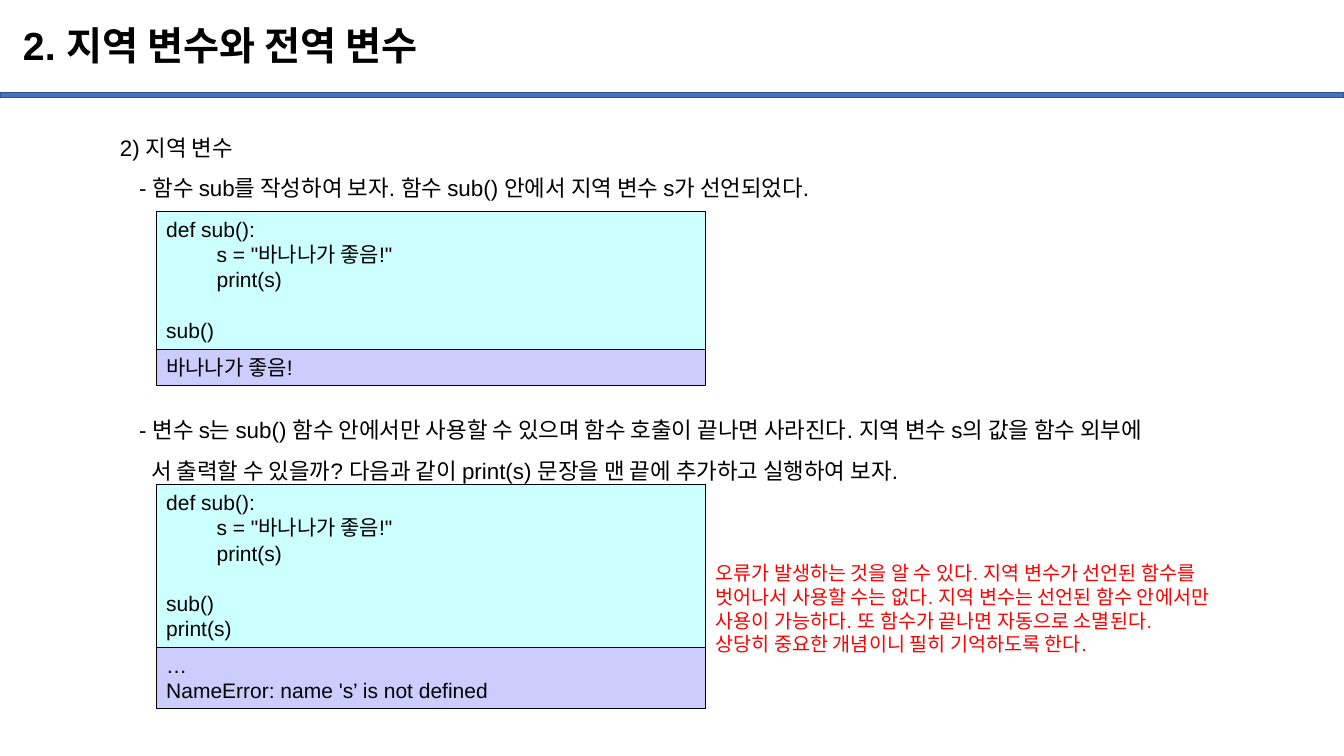
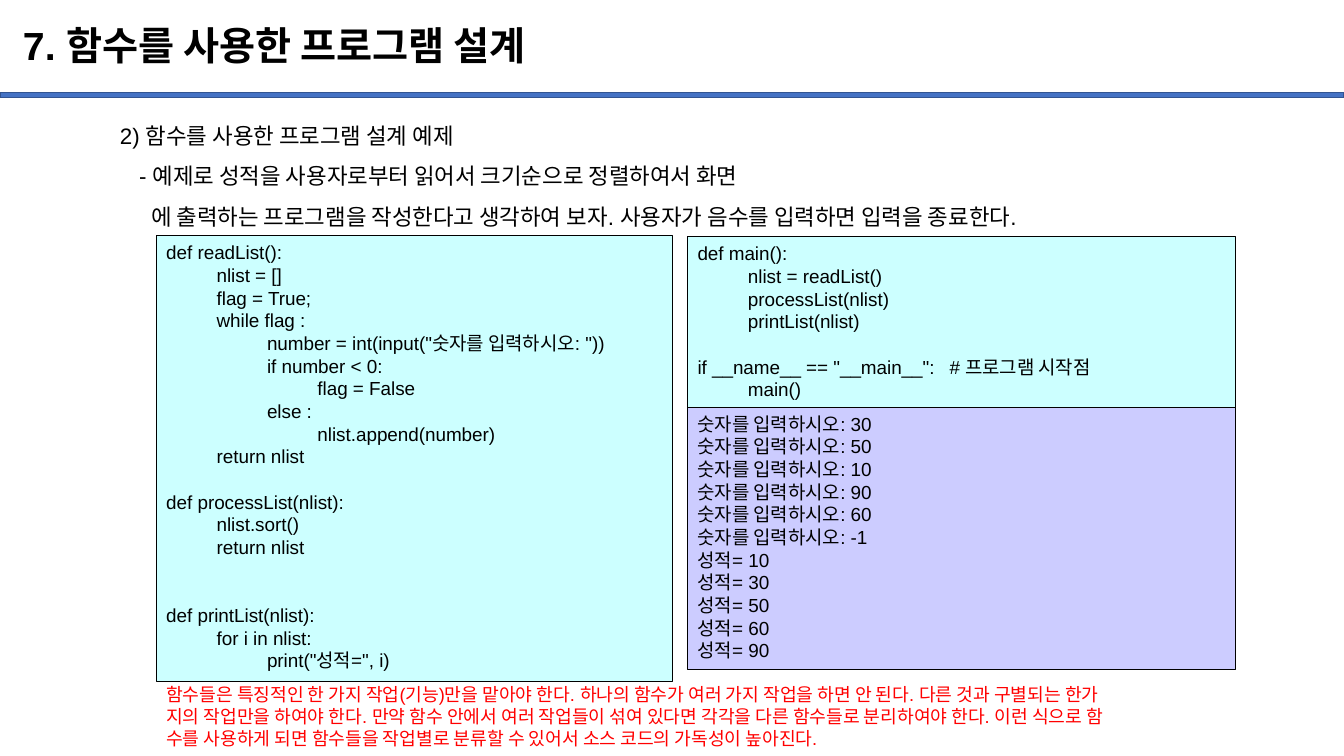
from dataclasses import dataclass

from lxml.etree import SubElement
from pptx import Presentation
from pptx.dml.color import RGBColor
from pptx.enum.shapes import MSO_SHAPE
from pptx.enum.text import MSO_ANCHOR
from pptx.oxml.ns import qn
from pptx.util import Pt

SCALE = 9144  # EMU in one px, 100 px to the inch


@dataclass(frozen=True)
class Theme:
    font: str = "Arial"
    text: str = "000000"
    note: str = "FF0000"
    bar: str = "4472C4"
    bar_edge: str = "325491"
    code: str = "CCFFFF"
    output: str = "CCCCFF"
    title_size: float = 28
    outline_size: float = 16
    line_height: float = 1.2
    code_indent: int = 50
    outline_indents: tuple = (0, 19, 31)  # heading, dash, continued line


THEME = Theme()
PAGE_WIDTH, PAGE_HEIGHT = 1333, 750


def px(length):
    return int(length * SCALE)


def color(value):
    return RGBColor.from_string(value)


# Text
def add_line(frame, text, size, ink=THEME.text, bold=False, indent=0,
             spacing=None, gap=0, tab=None):
    """Add one paragraph, reusing the first one while it is empty."""
    first = frame.paragraphs[0]
    para = first if not first.runs else frame.add_paragraph()
    if spacing:
        para.line_spacing = spacing
    if gap:
        para.space_before = Pt(gap)
    properties = para._p.get_or_add_pPr()
    properties.set("algn", "l")
    properties.set("marL", str(px(indent)))
    properties.set("indent", "0")
    if tab:
        stops = SubElement(properties, qn("a:tabLst"))
        SubElement(stops, qn("a:tab"), pos=str(px(tab)), algn="l")
    span = para.add_run()
    span.text = text
    span.font.name = THEME.font
    span.font.size = Pt(size)
    span.font.bold = bold
    span.font.color.rgb = color(ink)


def add_text_box(page, box):
    frame = page.shapes.add_textbox(*map(px, box)).text_frame
    frame.word_wrap = True
    return frame


def add_panel(page, box, fill, edge, edge_width):
    panel = page.shapes.add_shape(MSO_SHAPE.RECTANGLE, *map(px, box))
    panel.shadow.inherit = False
    panel.fill.solid()
    panel.fill.fore_color.rgb = color(fill)
    panel.line.color.rgb = color(edge)
    panel.line.width = Pt(edge_width)
    return panel


# Regions
def add_page(deck, title):
    """Blank page with the shared bar and title."""
    page = deck.slides.add_slide(deck.slide_layouts[6])
    add_panel(page, (0, 92, PAGE_WIDTH, 5), THEME.bar, THEME.bar_edge, 1)
    frame = add_text_box(page, (13, 10, 1150, 74))
    frame.vertical_anchor = MSO_ANCHOR.MIDDLE
    add_line(frame, title, THEME.title_size, bold=True, spacing=0.9)
    return page


def add_outline(page, box, lines):
    """Lines of (level, text), indented by level."""
    frame = add_text_box(page, box)
    for level, text in lines:
        add_line(frame, text, THEME.outline_size, spacing=1.5,
                 indent=THEME.outline_indents[level])


def add_listing(page, box, source, size, fill, comment_tab=None):
    """Code panel: four spaces make a level, an empty line makes a gap."""
    frame = add_panel(page, box, fill, THEME.text, 0.75).text_frame
    frame.word_wrap = True
    frame.vertical_anchor = MSO_ANCHOR.TOP
    gap = 0
    for line in source.strip().splitlines():
        code = line.lstrip(" ")
        if not code:
            gap += size * THEME.line_height
            continue
        level = (len(line) - len(code)) // 4
        add_line(frame, code, size, indent=level * THEME.code_indent, gap=gap,
                 tab=comment_tab if "\t" in code else None)
        gap = 0


def add_example(page, box, code, output, code_height, size, comment_tab=None):
    """Code panel with its output panel directly below."""
    left, top, width, height = box
    add_listing(page, (left, top, width, code_height), code, size,
                THEME.code, comment_tab)
    add_listing(page, (left, top + code_height, width, height - code_height),
                output, size, THEME.output)


def add_note(page, box, lines, size):
    frame = add_text_box(page, box)
    for text in lines:
        add_line(frame, text, size, ink=THEME.note)


# Program listings
SUB_CODE = """
def sub():
    s = "바나나가 좋음!"
    print(s)

sub()
"""

FUNCTIONS_CODE = """
def readList():
    nlist = []
    flag = True;
    while flag :
        number = int(input("숫자를 입력하시오: "))
        if number < 0:
            flag = False
        else :
            nlist.append(number)
    return nlist

def processList(nlist):
    nlist.sort()
    return nlist


def printList(nlist):
    for i in nlist:
        print("성적=", i)
"""

MAIN_CODE = """
def main():
    nlist = readList()
    processList(nlist)
    printList(nlist)

if __name__ == "__main__":\t# 프로그램 시작점
    main()
"""


# Pages
def build_local_variables(deck):
    page = add_page(deck, "2. 지역 변수와 전역 변수")
    add_outline(page, (109, 115, 1172, 91), [
        (0, "2) 지역 변수"),
        (1, "- 함수 sub를 작성하여 보자. 함수 sub() 안에서 지역 변수 s가 선언되었다."),
    ])
    add_outline(page, (109, 395, 1172, 91), [
        (1, "- 변수 s는 sub() 함수 안에서만 사용할 수 있으며 함수 호출이 끝나면 "
            "사라진다. 지역 변수 s의 값을 함수 외부에"),
        (2, "서 출력할 수 있을까? 다음과 같이 print(s) 문장을 맨 끝에 추가하고 "
            "실행하여 보자."),
    ])
    add_example(page, (155, 210, 545, 172), SUB_CODE, "바나나가 좋음!", 137, 15)
    add_example(page, (155, 481, 545, 222), SUB_CODE + "print(s)",
                "…\nNameError: name 's’ is not defined", 161, 15)
    add_note(page, (700, 552, 570, 104), [
        "오류가 발생하는 것을 알 수 있다. 지역 변수가 선언된 함수를",
        "벗어나서 사용할 수는 없다. 지역 변수는 선언된 함수 안에서만",
        "사용이 가능하다. 또 함수가 끝나면 자동으로 소멸된다.",
        "상당히 중요한 개념이니 필히 기억하도록 한다.",
    ], 14)


def build_program_design(deck):
    page = add_page(deck, "7. 함수를 사용한 프로그램 설계")
    add_outline(page, (109, 103, 1172, 166), [
        (0, "2) 함수를 사용한 프로그램 설계 예제"),
        (1, "- 예제로 성적을 사용자로부터 읽어서 크기순으로 정렬하여서 화면"),
        (2, "에 출력하는 프로그램을 작성한다고 생각하여 보자. 사용자가 음수를 "
            "입력하면 입력을 종료한다."),
    ])
    add_listing(page, (155, 234, 512, 442), FUNCTIONS_CODE, 13.5, THEME.code)
    scores = (30, 50, 10, 90, 60)
    output = [f"숫자를 입력하시오: {number}" for number in (*scores, -1)]
    output += [f"성적= {score}" for score in sorted(scores)]
    add_example(page, (682, 235, 543, 429), MAIN_CODE, "\n".join(output),
                169, 13.5, comment_tab=262)
    add_note(page, (155, 673, 1071, 76), [
        "함수들은 특징적인 한 가지 작업(기능)만을 맡아야 한다. 하나의 함수가 "
        "여러 가지 작업을 하면 안 된다. 다른 것과 구별되는 한가",
        "지의 작업만을 하여야 한다. 만약 함수 안에서 여러 작업들이 섞여 있다면 "
        "각각을 다른 함수들로 분리하여야 한다. 이런 식으로 함",
        "수를 사용하게 되면 함수들을 작업별로 분류할 수 있어서 소스 코드의 "
        "가독성이 높아진다.",
    ], 13)


def main():
    deck = Presentation()
    deck.slide_width, deck.slide_height = px(PAGE_WIDTH), px(PAGE_HEIGHT)
    build_local_variables(deck)
    build_program_design(deck)
    deck.save("out.pptx")


if __name__ == "__main__":
    main()
